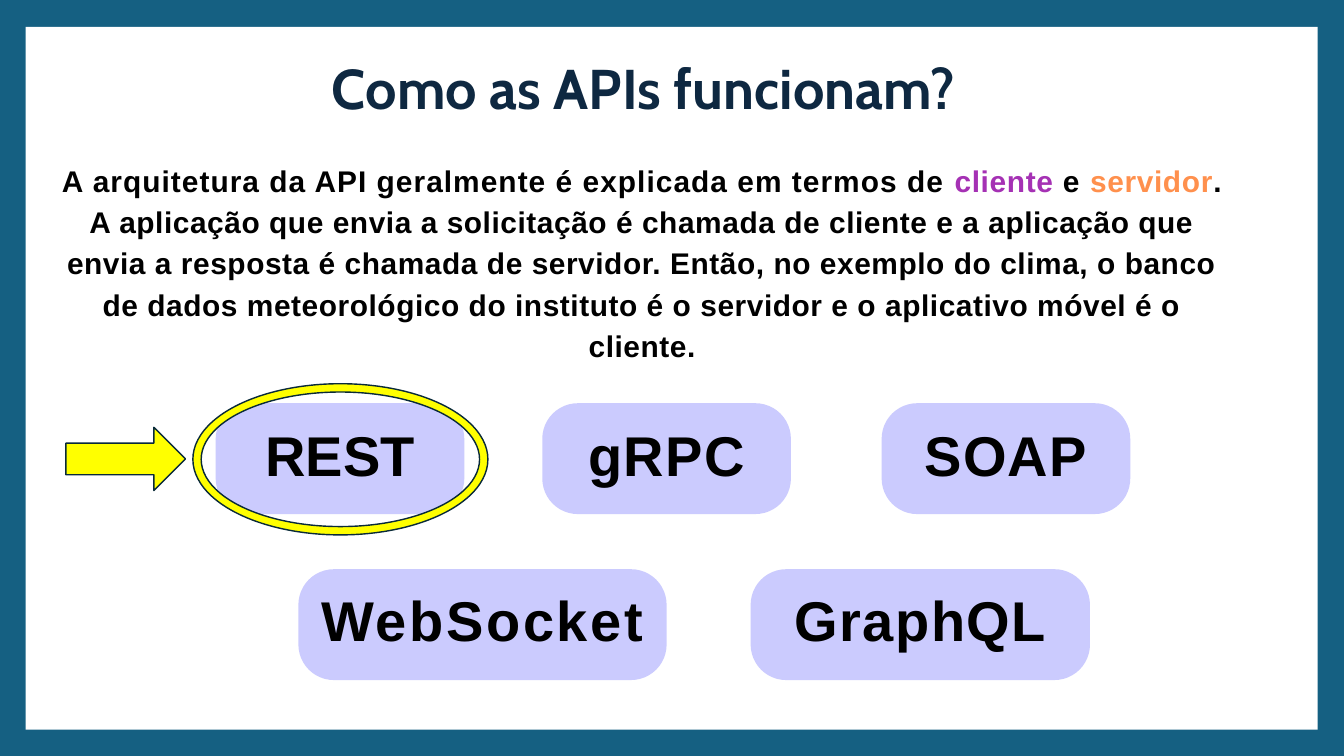
import pptx
import pptx.util
import pptx.dml.color
import pptx.enum.shapes
import pptx.enum.text
import pptx.oxml.ns
import lxml.etree

Inches, Pt = pptx.util.Inches, pptx.util.Pt
KIND = pptx.enum.shapes.MSO_SHAPE
ALIGN = pptx.enum.text.PP_ALIGN
ANCHOR = pptx.enum.text.MSO_ANCHOR

TITLE = "Como as APIs funcionam?"
# text, colour, letter spacing in points
BODY = [
    ("A arquitetura da API geralmente é explicada em termos de ", "000000", 1.1),
    ("cliente ", "A531B4", 0.7),
    ("e ", "000000", 1.2),
    ("servidor", "FF904D", 0.7),
    (". A aplicação que envia a solicitação é chamada de cliente e a "
     "aplicação que envia a resposta é chamada de servidor. Então, no "
     "exemplo do clima, o banco de dados meteorológico do instituto é o "
     "servidor e o aplicativo móvel é o cliente.", "000000", 0.6),
]
# label, left, top, width, letter spacing
STYLES = [
    ("REST", 3.21, 6, 3.7, -0.2),
    ("gRPC", 8.07, 6, 3.7, 1.4),
    ("SOAP", 13.12, 6, 3.7, 1.2),
    ("WebSocket", 4.44, 8.47, 5.48, 2.8),
    ("GraphQL", 11.17, 8.47, 5.05, 1.7),
]
PILL_H, RADIUS = 1.65, 0.53
# kind, box, adjustment
MARKS = [
    (KIND.RIGHT_ARROW, (0.98, 6.36, 1.78, 0.94), None),
    (KIND.DONUT, (2.87, 5.71, 4.39, 2.25), 0.055),
]


def color(code):
    return pptx.dml.color.RGBColor.from_string(code)


def paint(fill, code):
    fill.solid()
    fill.fore_color.rgb = color(code)


def style(font, name, size, code):
    font.name, font.size, font.bold = name, Pt(size), True
    font.color.rgb = color(code)


def track(run, points):
    """Set the letter spacing of a run."""
    run._r.get_or_add_rPr().set("spc", str(round(points * 100)))


def place(shape, *box):
    shape.left, shape.top, shape.width, shape.height = map(Inches, box)


def frame(shape, anchor, *pads):
    """Prepare a text frame; pads are left, top, right, bottom."""
    text = shape.text_frame
    text.word_wrap = True
    text.auto_size = pptx.enum.text.MSO_AUTO_SIZE.NONE
    text.vertical_anchor = anchor
    (text.margin_left, text.margin_top,
     text.margin_right, text.margin_bottom) = map(Inches, pads)
    return text


def draw(slide, kind, box, fill, line=None, adjust=None):
    shape = slide.shapes.add_shape(kind, *map(Inches, box))
    shape.shadow.inherit = False
    paint(shape.fill, fill)
    if line:
        shape.line.color.rgb = color(line)
        shape.line.width = Pt(1.5)
    else:
        shape.line.fill.background()
    if adjust is not None:
        shape.adjustments[0] = adjust
    return shape


def main():
    deck = pptx.Presentation()
    deck.slide_width, deck.slide_height = Inches(20), Inches(11.25)
    slide = deck.slides.add_slide(deck.slide_layouts[1])
    paint(slide.background.fill, "156082")

    panel = draw(slide, KIND.RECTANGLE, (0.38, 0.4, 19.23, 10.46), "FFFFFF")
    slide.shapes._spTree.insert(2, panel._element)  # behind the text

    title, body = slide.placeholders
    place(title, 4.84, 0.75, 10, 1.11)
    text = frame(title, ANCHOR.TOP, 0.1, 0.05, 0.1, 0.05)
    text.text = TITLE
    para = text.paragraphs[0]
    para.alignment = ALIGN.LEFT
    style(para.font, "Cabin", 60, "0E2841")

    place(body, 0.83, 2.33, 17.45, 3.2)
    para = frame(body, ANCHOR.TOP, 0, 0.01, 0, 0).paragraphs[0]
    para.alignment = ALIGN.CENTER
    para.line_spacing, para.space_before = 1.15, Pt(1)
    props = para._p.get_or_add_pPr()
    props.set("marL", "0")
    props.set("indent", "0")
    lxml.etree.SubElement(props, pptx.oxml.ns.qn("a:buNone"))
    style(para.font, "Arial", 32, "000000")
    for words, code, gap in BODY:
        run = para.add_run()
        run.text = words
        run.font.color.rgb = color(code)
        track(run, gap)

    for label, left, top, width, gap in STYLES:
        pill = draw(slide, KIND.ROUNDED_RECTANGLE, (left, top, width, PILL_H),
                    "CBCBFE", adjust=RADIUS / PILL_H)
        para = frame(pill, ANCHOR.MIDDLE, 0, 0, 0, 0.15).paragraphs[0]
        para.alignment = ALIGN.CENTER
        style(para.font, "Arial", 60, "000000")
        run = para.add_run()
        run.text = label
        track(run, gap)

    for kind, box, adjust in MARKS:
        draw(slide, kind, box, "FFFF00", "092A39", adjust)

    deck.save("out.pptx")


if __name__ == "__main__":
    main()
